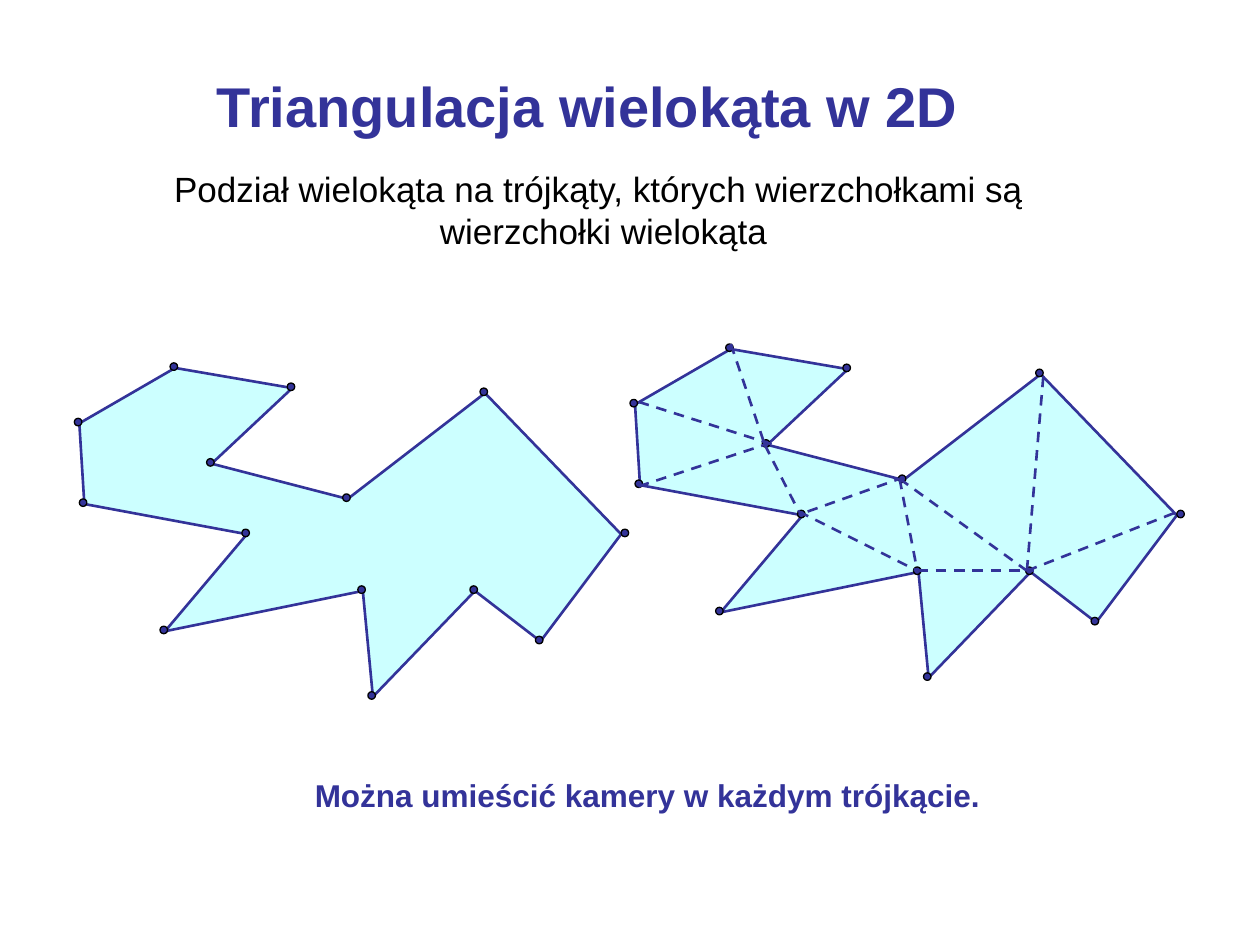
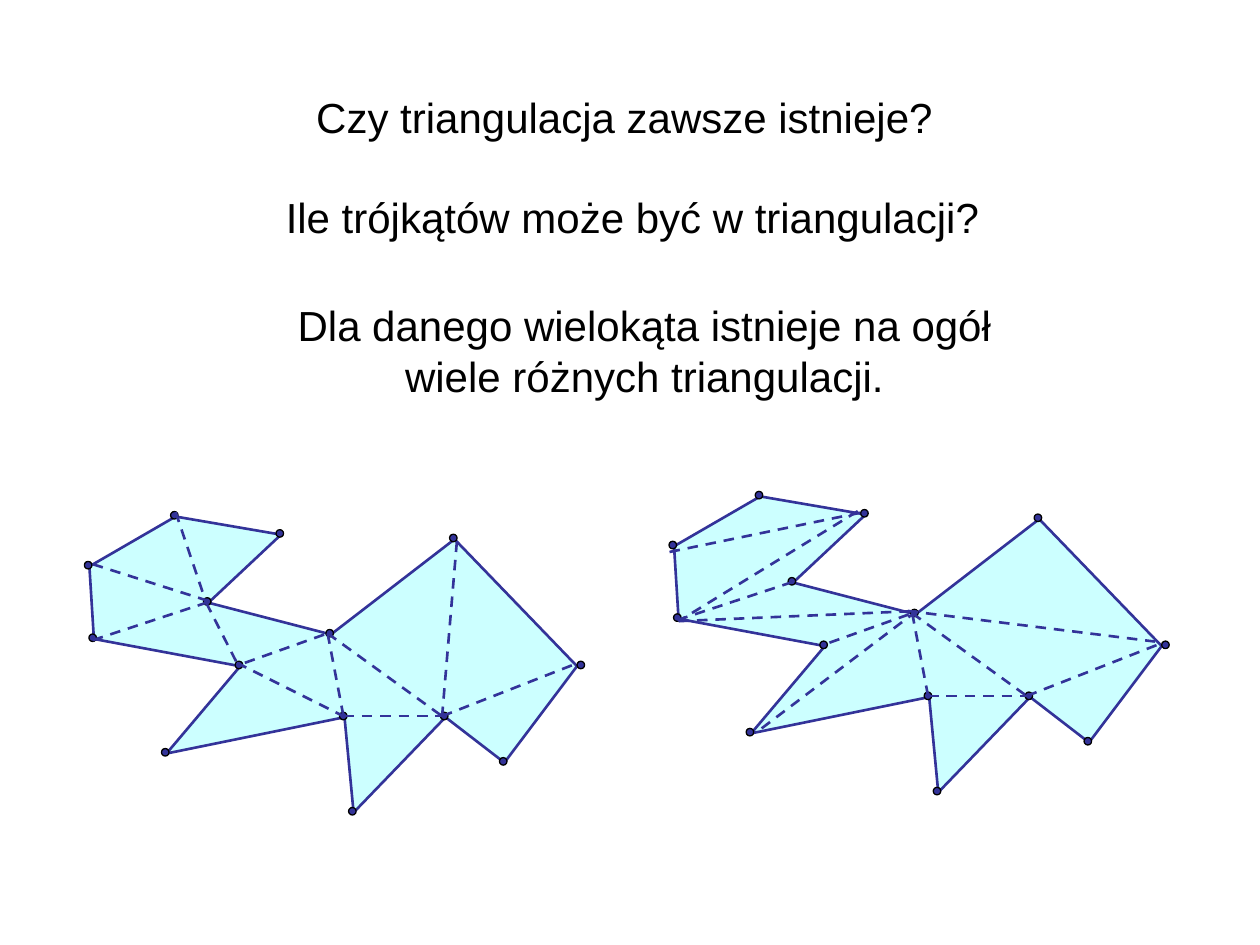
import pptx
import pptx.dml.color
import pptx.enum.dml
import pptx.enum.shapes
import pptx.enum.text
import pptx.oxml
import pptx.oxml.ns
import pptx.util

Inches = pptx.util.Inches
Pt = pptx.util.Pt
Align = pptx.enum.text.PP_ALIGN

COLORS = {"accent": "333399", "polygon": "CCFFFF", "text": "000000"}
FONT = "Arial"
DOT_SIZE = 0.06
SMALL = 0.9

VERTICES = [
    (0.76, 0), (0, 0.44), (0.04, 1.08), (1.33, 1.32), (0.68, 2.09),
    (2.25, 1.77), (2.33, 2.61), (3.14, 1.77), (3.66, 2.17), (4.3, 1.32),
    (3.22, 0.2), (2.13, 1.04), (1.05, 0.76), (1.69, 0.16),
]
RIGHTMOST = max(VERTICES)

COMMON_DIAGONALS = [
    ((0.03, 1.09), (1.03, 0.76)), ((1.37, 1.29), (2.1, 1.03)),
    ((2.1, 1.03), (2.24, 1.76)), ((2.24, 1.76), (3.17, 1.76)),
    ((2.1, 1.03), (3.11, 1.76)), ((3.11, 1.76), (4.31, 1.29)),
]
FIRST_TRIANGULATION = COMMON_DIAGONALS + [
    ((0.76, -0.04), (1.03, 0.76)), ((0.03, 0.42), (1.1, 0.76)),
    ((1.03, 0.76), (1.3, 1.29)), ((1.3, 1.29), (2.24, 1.76)),
    ((3.24, 0.22), (3.11, 1.76)),
]
SECOND_TRIANGULATION = COMMON_DIAGONALS + [
    ((-0.04, 0.49), (1.71, 0.13)), ((1.62, 0.13), (0.04, 1.1)),
    ((0.04, 1.1), (2.14, 1.01)), ((2.14, 1.01), (0.74, 2.07)),
    ((2.06, 1.01), (4.24, 1.28)),
]


def rgb(name):
    """Return the named colour."""
    return pptx.dml.color.RGBColor.from_string(COLORS[name])


def set_line(shape, color, width):
    """Give a shape a line of one colour and width."""
    shape.line.color.rgb = rgb(color)
    shape.line.width = Pt(width)


def set_fill(shape, color):
    """Give a shape a plain fill without shadow."""
    shape.shadow.inherit = False
    shape.fill.solid()
    shape.fill.fore_color.rgb = rgb(color)


def write(box, lines, size, color="text", bold=False, align=Align.LEFT, wrap=False):
    """Write one paragraph per line into a box."""
    frame = box.text_frame
    frame.auto_size = pptx.enum.text.MSO_AUTO_SIZE.NONE
    frame.word_wrap = wrap
    frame.vertical_anchor = pptx.enum.text.MSO_ANCHOR.TOP
    for index, line in enumerate(lines):
        para = frame.add_paragraph() if index else frame.paragraphs[0]
        para.alignment = align
        span = para.add_run()
        span.text = line
        span.font.name = FONT
        span.font.size = Pt(size)
        span.font.bold = bold
        span.font.color.rgb = rgb(color)


def add_title(page, area, line, size, **style):
    """Move the title placeholder to an area and fill it."""
    title = page.shapes.title
    title.left, title.top, title.width, title.height = map(Inches, area)
    write(title, [line], size, **style)


def add_text(page, area, lines, size, **style):
    """Add a text box over an area."""
    write(page.shapes.add_textbox(*map(Inches, area)), lines, size, **style)


def add_dot(group, x, y):
    """Mark a vertex with a dot centred on a point."""
    corner = Inches(x - DOT_SIZE / 2), Inches(y - DOT_SIZE / 2)
    oval = pptx.enum.shapes.MSO_SHAPE.OVAL
    dot = group.shapes.add_shape(oval, *corner, Inches(DOT_SIZE), Inches(DOT_SIZE))
    set_fill(dot, "accent")
    set_line(dot, "text", 0.75)


def add_diagonal(group, start, end):
    """Draw a dashed diagonal between two points."""
    straight = pptx.enum.shapes.MSO_CONNECTOR.STRAIGHT
    diagonal = group.shapes.add_connector(straight, *map(Inches, start + end))
    set_line(diagonal, "accent", 1.5)
    diagonal.line.dash_style = pptx.enum.dml.MSO_LINE.DASH
    properties = diagonal._element.spPr
    properties.append(pptx.oxml.parse_xml(f"<a:effectLst {pptx.oxml.ns.nsdecls('a')}/>"))


def add_polygon(page, left, top, scale=1, diagonals=()):
    """Draw the polygon, its vertices and its diagonals from a corner."""
    def place(point):
        """Map a polygon point to the slide."""
        return left + point[0] * scale, top + point[1] * scale

    group = page.shapes.add_group_shape()
    corners = [tuple(map(Inches, place(vertex))) for vertex in VERTICES]
    builder = group.shapes.build_freeform(*corners[0])
    builder.add_line_segments(corners[1:], close=True)
    outline = builder.convert_to_shape()
    set_fill(outline, "polygon")
    set_line(outline, "accent", 1.5)
    for vertex in VERTICES:
        x, y = place(vertex)
        add_dot(group, x + (0.03 if vertex == RIGHTMOST else -0.01), y - 0.01)
    for start, end in diagonals:
        add_diagonal(group, place(start), place(end))


def build_definition(page):
    """Show the polygon before and after triangulation."""
    add_polygon(page, 0.63, 2.92)
    add_polygon(page, 5.04, 2.77, diagonals=FIRST_TRIANGULATION)
    add_title(page, (1.51, 0.52, 6.31, 0.64), "Triangulacja wielokąta w 2D", 32,
              color="accent", bold=True, align=Align.CENTER)
    add_text(page, (1.27, 1.28, 7.04, 0.77),
             ["Podział wielokąta na trójkąty, których wierzchołkami są ",
              "wierzchołki wielokąta"], 20, align=Align.CENTER)
    add_text(page, (2.4, 6.11, 5.48, 0.4),
             ["Można umieścić kamery w każdym trójkącie."], 18,
             color="accent", bold=True)


def build_questions(page):
    """Ask about triangulations and show two of one polygon."""
    add_title(page, (2.41, 0.68, 5.4, 0.5), "Czy triangulacja zawsze istnieje?", 24)
    add_text(page, (2.17, 1.47, 5.7, 0.5),
             ["Ile trójkątów może być w triangulacji?"], 24)
    add_text(page, (1.3, 2.33, 7.72, 0.9),
             ["Dla danego wielokąta istnieje na ogół ",
              "wiele różnych triangulacji. "], 24, align=Align.CENTER, wrap=True)
    add_polygon(page, 0.71, 4.1, SMALL, FIRST_TRIANGULATION)
    add_polygon(page, 5.35, 3.94, SMALL, SECOND_TRIANGULATION)


def main():
    """Build and save the deck."""
    deck = pptx.Presentation()
    deck.slide_width, deck.slide_height = Inches(10), Inches(7.5)
    title_only = deck.slide_layouts.get_by_name("Title Only")
    for build in (build_definition, build_questions):
        build(deck.slides.add_slide(title_only))
    deck.save("out.pptx")


if __name__ == "__main__":
    main()
